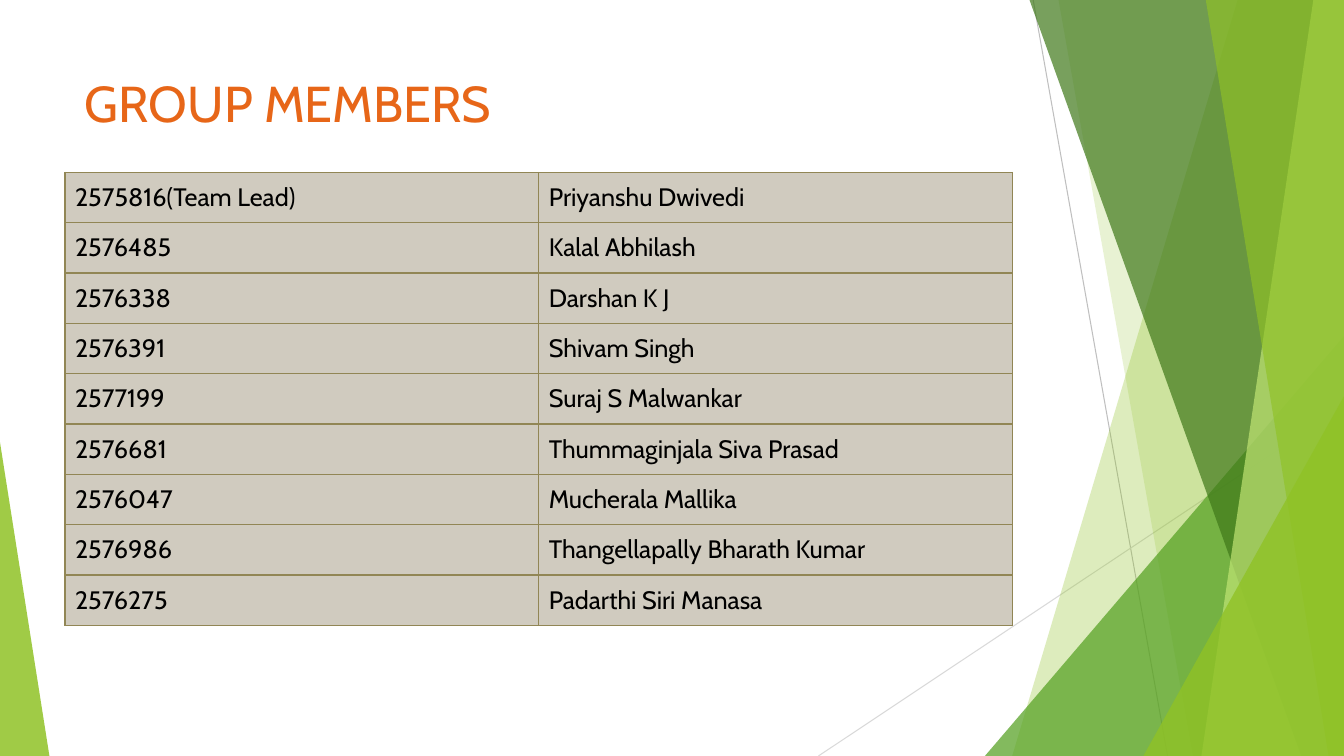
import pptx
import pptx.util
import pptx.dml.color
import pptx.enum.shapes
import pptx.enum.text
import pptx.oxml
import pptx.oxml.ns
from lxml import etree

Pt = pptx.util.Pt
WIDTH, HEIGHT = 960, 540
BAND_TOP = -0.6

MEMBERS = [
    ("2575816(Team Lead)", "Priyanshu Dwivedi"),
    ("2576485", "Kalal Abhilash"),
    ("2576338", "Darshan K J"),
    ("2576391", "Shivam Singh"),
    ("2577199", "Suraj S Malwankar"),
    ("2576681", "Thummaginjala Siva Prasad"),
    ("2576047", "Mucherala Mallika"),
    ("2576986", "Thangellapally Bharath Kumar"),
    ("2576275", "Padarthi Siri Manasa"),
]


def rgb(hex_code):
    return pptx.dml.color.RGBColor.from_string(hex_code)


class SlideBuilder:
    font = "Cabin"
    title_color = "E76618"
    text_color = "000000"
    cell_color = "D0CBBF"
    border_color = "918655"

    def __init__(self, slide):
        self.slide = slide
        self.shapes = slide.shapes

    def style_text(self, paragraph, size, color):
        paragraph.font.name = self.font
        paragraph.font.size = Pt(size)
        paragraph.font.bold = False
        paragraph.font.color.rgb = rgb(color)
        paragraph.alignment = pptx.enum.text.PP_ALIGN.LEFT

    def paint(self, shape, color, opacity):
        shape.shadow.inherit = False
        shape.line.fill.background()
        shape.fill.solid()
        shape.fill.fore_color.rgb = rgb(color)
        for node in shape.element.spPr.iter(pptx.oxml.ns.qn("a:srgbClr")):
            etree.SubElement(node, pptx.oxml.ns.qn("a:alpha"), val=str(opacity * 1000))

    def line(self, start, end, color):
        connector = self.shapes.add_connector(
            pptx.enum.shapes.MSO_CONNECTOR.STRAIGHT,
            *(Pt(value) for value in start + end))
        connector.line.color.rgb = rgb(color)
        connector.line.width = Pt(0.75)
        etree.SubElement(connector.element.spPr, pptx.oxml.ns.qn("a:effectLst"))

    def band(self, top_left, bottom_left, color, opacity):
        """Slanted band that reaches the right edge of the slide."""
        outline = self.shapes.build_freeform(Pt(top_left), Pt(BAND_TOP))
        corners = [(WIDTH, BAND_TOP), (WIDTH, HEIGHT), (bottom_left, HEIGHT)]
        outline.add_line_segments([(Pt(x), Pt(y)) for x, y in corners], close=True)
        self.paint(outline.convert_to_shape(), color, opacity)

    def triangle(self, left, top, width, apex, color, opacity):
        """Triangle that stands on the bottom edge of the slide."""
        shape = self.shapes.add_shape(
            pptx.enum.shapes.MSO_SHAPE.ISOSCELES_TRIANGLE,
            Pt(left), Pt(top), Pt(width), Pt(HEIGHT - top))
        shape.adjustments[0] = apex
        self.paint(shape, color, opacity)

    def title(self, text, left, top, width, height):
        heading = self.shapes.title
        heading.left, heading.top = Pt(left), Pt(top)
        heading.width, heading.height = Pt(width), Pt(height)
        frame = heading.text_frame
        frame.text = text
        frame.word_wrap = True
        frame.vertical_anchor = pptx.enum.text.MSO_ANCHOR.TOP
        self.style_text(frame.paragraphs[0], 36, self.title_color)
        # Bring the heading in front of the decoration
        heading.element.getparent().append(heading.element)

    def cell(self, cell, text):
        cell.text = text
        cell.vertical_anchor = pptx.enum.text.MSO_ANCHOR.MIDDLE
        self.style_text(cell.text_frame.paragraphs[0], 18, self.text_color)
        properties = cell._tc.get_or_add_tcPr()
        for side in ("lnL", "lnR", "lnT", "lnB"):
            properties.append(pptx.oxml.parse_xml(
                f'<a:{side} {pptx.oxml.ns.nsdecls("a")} w="{Pt(1)}"><a:solidFill>'
                f'<a:srgbClr val="{self.border_color}"/></a:solidFill></a:{side}>'))
        cell.fill.solid()
        cell.fill.fore_color.rgb = rgb(self.cell_color)

    def table(self, rows, left, top, width, height):
        table = self.shapes.add_table(
            len(rows), len(rows[0]), Pt(left), Pt(top), Pt(width), Pt(height)).table
        table.first_row = False
        table.horz_banding = False
        for row_index, row in enumerate(rows):
            for column_index, text in enumerate(row):
                self.cell(table.cell(row_index, column_index), text)


def main():
    presentation = pptx.Presentation()
    presentation.slide_width, presentation.slide_height = Pt(WIDTH), Pt(HEIGHT)
    builder = SlideBuilder(presentation.slides.add_slide(presentation.slide_layouts[5]))

    # Thin lines and green facets
    builder.line((738, 0), (834, HEIGHT), "BFBFBF")
    builder.line((WIDTH, 290), (584.6, HEIGHT), "D9D9D9")
    builder.band(884.2, 723, "90C226", 30)
    builder.band(756, 852, "90C226", 20)
    builder.triangle(703.5, 240, 256.5, 1, "54A021", 72)
    builder.band(735.2, 929.5, "3F7819", 70)
    builder.band(938.2, 858.2, "C0E474", 70)
    builder.band(861.2, 949, "90C226", 65)
    builder.triangle(816.7, 283, 143.3, 1, "90C226", 80)
    builder.triangle(0, 316, 35.3, 0, "90C226", 85)

    # Heading and member list
    builder.title("GROUP MEMBERS", 53.3, 48.2, 676.8, 103.7)
    builder.table(MEMBERS, 46.4, 123.1, 676.8, 323.6)

    presentation.save("out.pptx")


if __name__ == "__main__":
    main()
